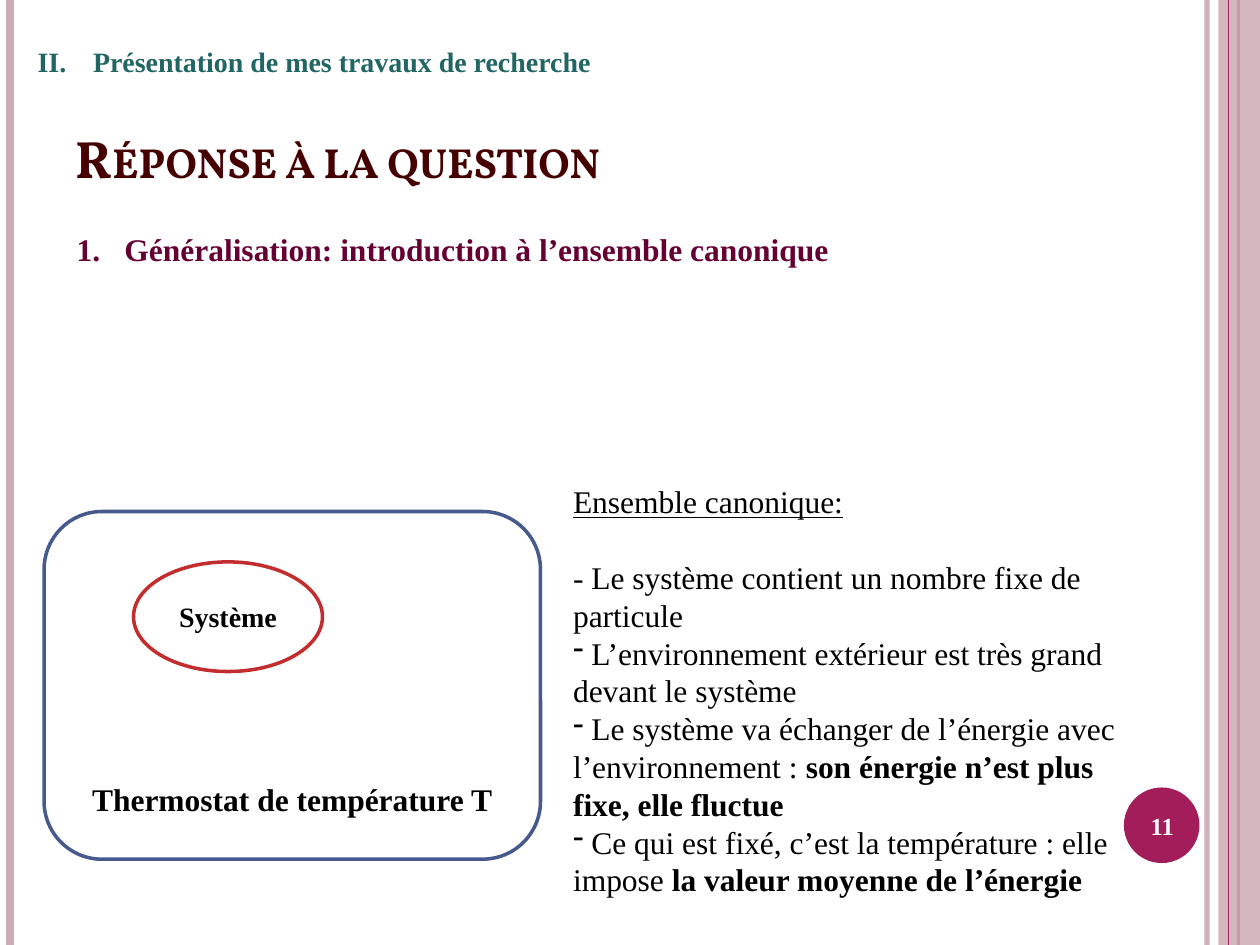
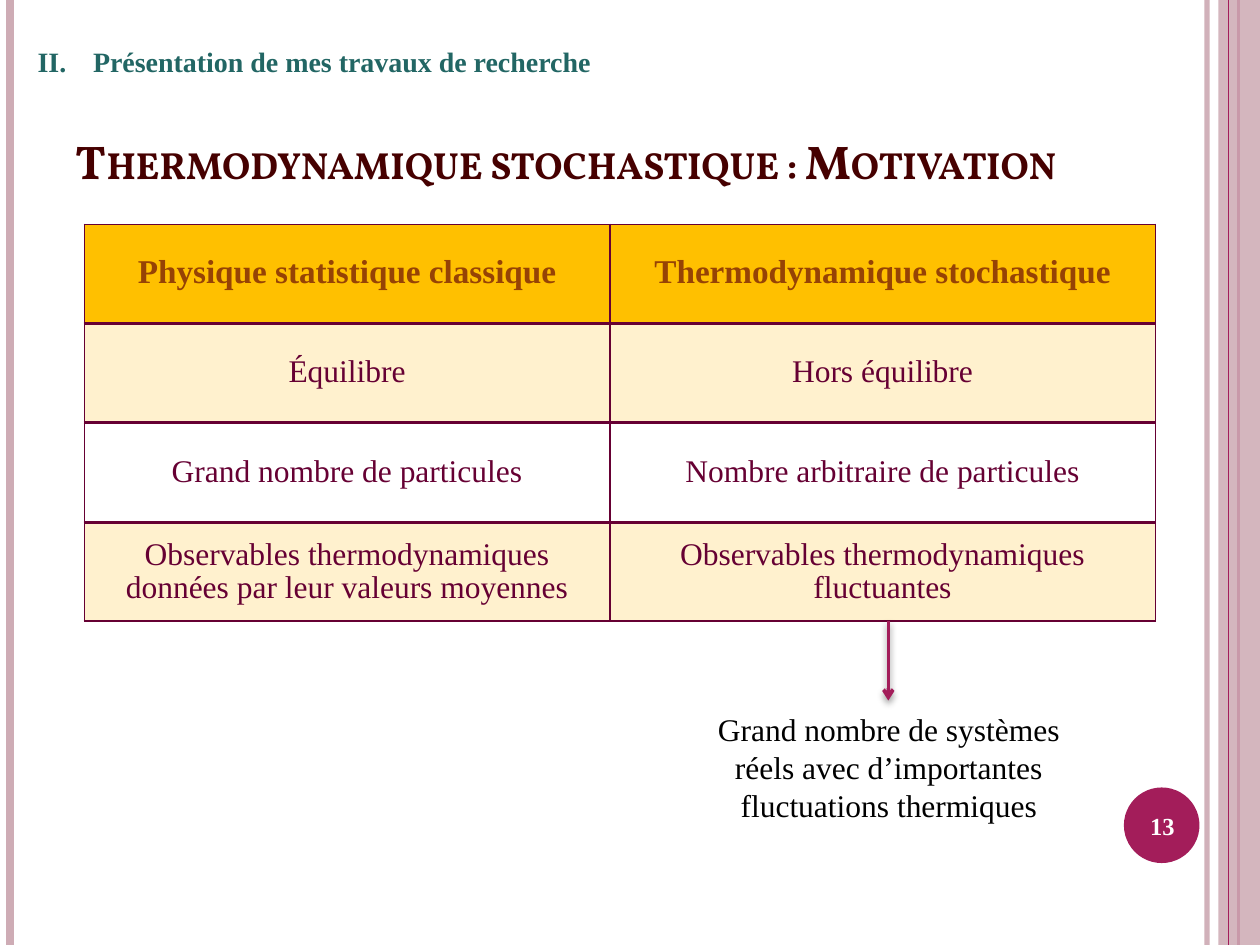
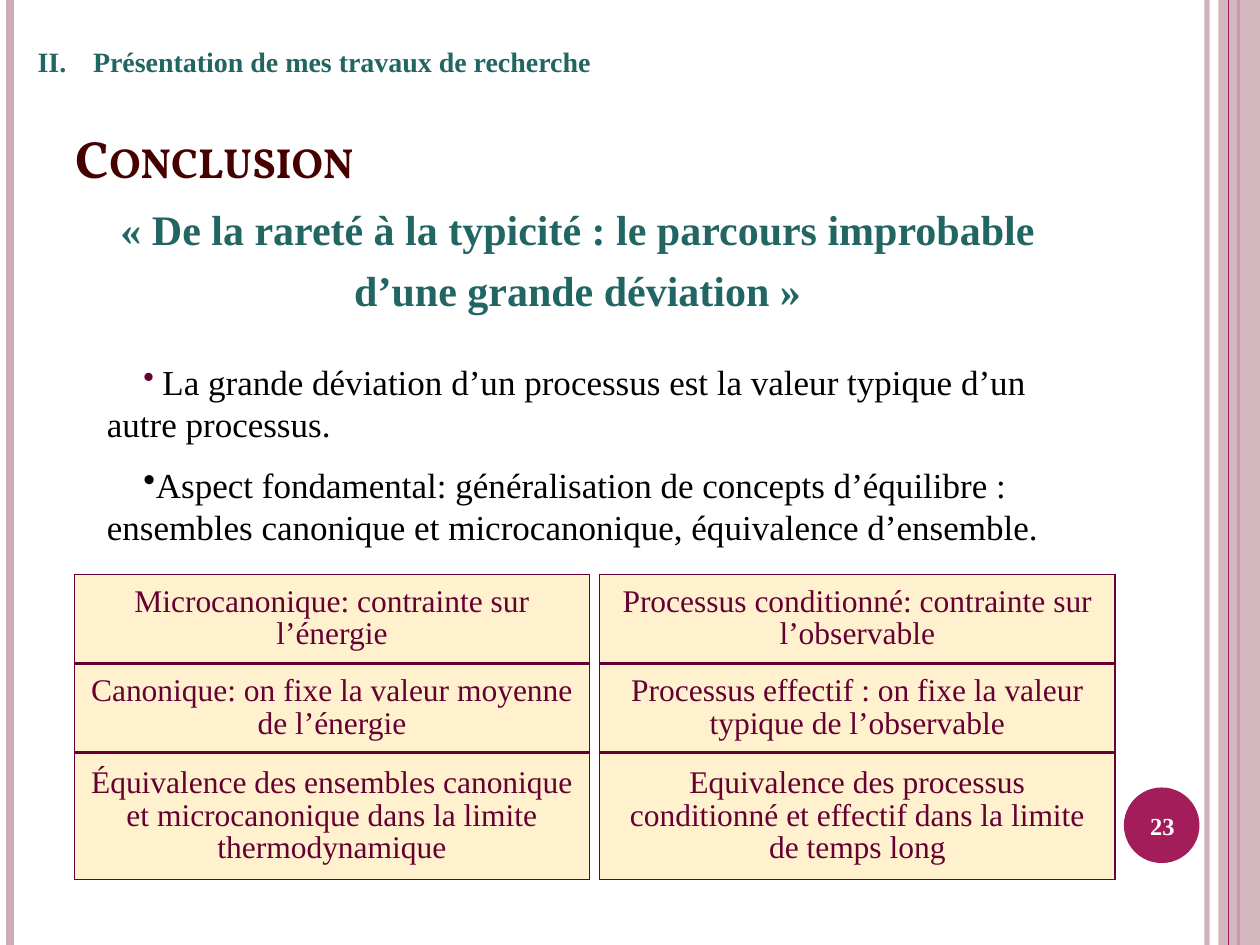
from dataclasses import dataclass

from lxml import etree
from pptx import Presentation
from pptx.dml.color import RGBColor
from pptx.enum.shapes import MSO_CONNECTOR, MSO_SHAPE
from pptx.enum.text import MSO_ANCHOR, MSO_AUTO_SIZE, PP_ALIGN
from pptx.oxml.ns import qn
from pptx.util import Inches, Pt

LINE = MSO_CONNECTOR.STRAIGHT
RECT, OVAL, ROUND = MSO_SHAPE.RECTANGLE, MSO_SHAPE.OVAL, MSO_SHAPE.ROUNDED_RECTANGLE
TOP, MID, LOW = MSO_ANCHOR.TOP, MSO_ANCHOR.MIDDLE, MSO_ANCHOR.BOTTOM
LEFT, MIDDLE = PP_ALIGN.LEFT, PP_ALIGN.CENTER


@dataclass(frozen=True)
class Theme:
    font: str = "Times New Roman"
    head: str = "Vollkorn"
    black: str = "000000"
    white: str = "FFFFFF"
    rose: str = "CEACB5"
    berry: str = "A31D5A"
    plum: str = "660033"
    wine: str = "460000"
    teal: str = "226664"
    blue: str = "475A8D"
    red: str = "C32D2E"
    gold: str = "FFC000"
    brown: str = "964305"
    cream: str = "FFF1CE"
    title: float = 30
    quote: float = 24
    point: float = 20
    body: float = 18
    label: float = 16
    page: float = 14


THEME = Theme()


def rgb(code):
    return RGBColor.from_string(code)


def node(parent, tag, **attrs):
    """Append a drawing element with the given attributes."""
    child = etree.SubElement(parent, qn("a:" + tag))
    for key, value in attrs.items():
        child.set(key, str(value))
    return child


def fade(fill, percent):
    """Set the opacity of a solid fill."""
    node(fill.find(".//" + qn("a:srgbClr")), "alpha", val=percent * 1000)


def write(frame, text, *, size=THEME.body, color=THEME.black, bold=False, font=THEME.font,
          line=False, small=False, align=LEFT, before=0, lead=None,
          hang=None, bullet=None, number=None, start=1):
    """Add a paragraph; text is a string or a list of (string, changes) runs."""
    para = frame.paragraphs[0]
    if para.runs:
        para = frame.add_paragraph()
    para.alignment = align
    para.space_before = Pt(before)
    if lead:
        para.line_spacing = lead
    props = para._p.get_or_add_pPr()
    if hang:
        props.set("marL", str(Inches(hang[0])))
        props.set("indent", str(Inches(hang[1])))
    if bullet:
        node(props, "buChar", char=bullet)
    if number:
        node(props, "buAutoNum", type=number, startAt=start)
    base = dict(size=size, color=color, bold=bold)
    for words, change in [(text, {})] if isinstance(text, str) else text:
        look = base | change
        run = para.add_run()
        run.text = words
        run.font.name = font
        run.font.size = Pt(look["size"])
        run.font.bold = look["bold"]
        run.font.underline = line
        run.font.color.rgb = rgb(look["color"])
        if small:
            run.font._element.set("cap", "small")


class Deck:
    def __init__(self, theme):
        self.theme = theme
        self.prs = Presentation()
        self.prs.slide_width, self.prs.slide_height = Inches(10), Inches(7.5)
        self.slide = None

    def page(self, title, number, size=THEME.title):
        """Start a slide with its bands, section line, title and number."""
        t = self.theme
        self.slide = self.prs.slides.add_slide(self.prs.slide_layouts[5])
        edge = self.rule(9.58, 0, 7.5, t.rose, 3)
        fade(edge.line._ln, 93)
        self.rule(0.08, 0, 7.5, t.rose, 4.5)
        self.rule(9.83, 0, 7.5, t.berry, 1.5)
        band = self.shape(RECT, 9.67, 0, 0.33, 7.5, t.rose)
        fade(band._element.spPr, 87)
        self.rule(9.75, 0, 7.5, t.berry, 0.75)
        self.shape(OVAL, 8.92, 6.25, 0.6, 0.6, t.berry)

        head = self.slide.shapes.title
        head.left, head.top = Inches(0.5), Inches(0.84)
        head.width, head.height = Inches(8.99), Inches(0.71)
        frame = self.setup(head.text_frame, LOW)
        write(frame, title, size=size, color=t.wine, bold=True, font=t.head, small=True)

        write(self.box(8.89, 6.27, 0.67, 0.57, MID), str(number), size=t.page,
              color=t.white, bold=True, align=MIDDLE)
        write(self.box(0.2, 0.29, 6.61, 0.4, MID), "Présentation de mes travaux de recherche",
              size=t.label, color=t.teal, bold=True, hang=(0.44, -0.44),
              number="romanUcPeriod", start=2)

    def setup(self, frame, anchor, wrap=True):
        frame.auto_size = MSO_AUTO_SIZE.NONE
        frame.word_wrap = wrap
        frame.vertical_anchor = anchor
        return frame

    def box(self, x, y, w, h, anchor=TOP, wrap=True):
        item = self.slide.shapes.add_textbox(Inches(x), Inches(y), Inches(w), Inches(h))
        return self.setup(item.text_frame, anchor, wrap)

    def shape(self, kind, x, y, w, h, fill, edge=None):
        item = self.slide.shapes.add_shape(kind, Inches(x), Inches(y), Inches(w), Inches(h))
        item.shadow.inherit = False
        item.fill.solid()
        item.fill.fore_color.rgb = rgb(fill)
        if edge:
            item.line.color.rgb = rgb(edge)
            item.line.width = Pt(2)
        else:
            item.line.fill.background()
        return item

    def rule(self, x, top, end, color, width, arrow=False):
        """Draw a vertical line, or a shadowed arrow pointing down."""
        item = self.slide.shapes.add_connector(LINE, Inches(x), Inches(top), Inches(x), Inches(end))
        item.line.color.rgb = rgb(color)
        item.line.width = Pt(width)
        effect = node(item._element.spPr, "effectLst")
        if arrow:
            node(item.line._ln, "tailEnd", type="arrow")
            shade = node(effect, "outerShdw", blurRad=Pt(4), dist=Pt(2), dir=90 * 60000,
                         rotWithShape=0)
            node(shade, "srgbClr", val=self.theme.black)
            fade(shade, 40)
        return item

    def table(self, x, y, widths, height, texts, fill, **look):
        """Draw a bordered one-row table."""
        item = self.slide.shapes.add_table(1, len(texts), Inches(x), Inches(y),
                                           Inches(sum(widths)), Inches(height))
        grid = item.table
        grid.first_row = grid.horz_banding = False
        look = dict(color=self.theme.plum, align=MIDDLE, lead=0.93) | look
        for col, (width, text) in enumerate(zip(widths, texts)):
            grid.columns[col].width = Inches(width)
            cell = grid.cell(0, col)
            cell.vertical_anchor = MID
            props = cell._tc.get_or_add_tcPr()
            for side in ("lnL", "lnR", "lnT", "lnB"):
                edge = node(props, side, w=Pt(1))
                node(node(edge, "solidFill"), "srgbClr", val=self.theme.plum)
            if fill:
                cell.fill.solid()
                cell.fill.fore_color.rgb = rgb(fill)
            else:
                cell.fill.background()
            write(cell.text_frame, text, **look)


def answer(deck):
    t = deck.theme
    deck.page("Réponse à la question", 11)
    bath = deck.shape(ROUND, 0.35, 4.06, 3.94, 2.76, t.white, t.blue)
    frame = deck.setup(bath.text_frame, LOW)
    frame.margin_bottom = Inches(0.19)
    write(frame, "Thermostat de température T", bold=True, align=MIDDLE)
    system = deck.shape(OVAL, 1.06, 4.46, 1.5, 0.87, t.white, t.red)
    write(deck.setup(system.text_frame, MID), "Système", size=t.label, bold=True, align=MIDDLE)

    strong = dict(bold=True)
    frame = deck.box(4.45, 3.78, 4.63, 3.43)
    write(frame, "Ensemble canonique:", line=True)
    write(frame, "- Le système contient un nombre fixe de particule", before=21.6)
    for runs in (
        [(" L’environnement extérieur est très grand devant le système", {})],
        [(" Le système va échanger de l’énergie avec l’environnement : ", {}),
         ("son énergie n’est plus fixe, elle fluctue", strong)],
        [(" Ce qui est fixé, c’est la température : elle impose ", {}),
         ("la valeur moyenne de l’énergie", strong)],
    ):
        write(frame, runs, hang=(0, 0), bullet="-")
    write(deck.box(0.51, 1.78, 6.23, 0.4, wrap=False),
          "Généralisation: introduction à l’ensemble canonique",
          color=t.plum, bold=True, hang=(0.38, -0.38), number="arabicPeriod")


def motive(deck):
    t = deck.theme
    deck.page("Thermodynamique stochastique : Motivation", 13, size=27)
    rows = (
        ("Physique statistique classique", "Thermodynamique stochastique"),
        ("Équilibre", "Hors équilibre"),
        ("Grand nombre de particules", "Nombre arbitraire de particules"),
        ("Observables thermodynamiques données par leur valeurs moyennes",
         "Observables thermodynamiques fluctuantes"),
    )
    fills = (t.gold, t.cream, None, t.cream)
    for i, (texts, fill) in enumerate(zip(rows, fills)):
        look = {} if i else dict(size=19, color=t.brown, bold=True)
        deck.table(0.67, 1.78 + 0.79 * i, (4.17, 4.33), 0.78, texts, fill, **look)
    write(deck.box(5.52, 5.58, 3.07, 1.01, MID),
          "Grand nombre de systèmes réels avec d’importantes fluctuations thermiques", align=MIDDLE)
    deck.rule(7.05, 4.93, 5.56, t.berry, 2, arrow=True)


def closing(deck):
    t = deck.theme
    deck.page("Conclusion", 23)
    frame = deck.box(0.5, 1.57, 8.17, 1.16)
    quote = ("« De la rareté à la typicité : le parcours improbable", "d’une grande déviation »")
    for i, text in enumerate(quote):
        write(frame, text, size=t.quote, color=t.teal, bold=True, align=MIDDLE, before=6 * i)

    frame = deck.box(0.75, 2.81, 8.03, 1.62)
    points = (
        [(" ", dict(size=t.body, color=t.plum)),
         ("La grande déviation d’un processus est la valeur typique d’un autre processus.", {})],
        "Aspect fondamental: généralisation de concepts d’équilibre : "
        "ensembles canonique et microcanonique, équivalence d’ensemble.",
    )
    for i, text in enumerate(points):
        write(frame, text, size=t.point, hang=(0, 0.29), bullet="•", before=10.8 * i)

    columns = (
        ("Microcanonique: contrainte sur l’énergie",
         "Canonique: on fixe la valeur moyenne de l’énergie",
         "Équivalence des ensembles canonique et microcanonique dans la limite thermodynamique"),
        ("Processus conditionné: contrainte sur l’observable",
         "Processus effectif : on fixe la valeur typique de l’observable",
         "Equivalence des processus conditionné et effectif dans la limite de temps long"),
    )
    for x, texts in zip((0.59, 4.76), columns):
        for i, (text, height) in enumerate(zip(texts, (0.7, 0.7, 1))):
            deck.table(x, 4.56 + 0.71 * i, (4.09,), height, (text,), t.cream)


def main():
    deck = Deck(THEME)
    answer(deck)
    motive(deck)
    closing(deck)
    deck.prs.save("out.pptx")


if __name__ == "__main__":
    main()
